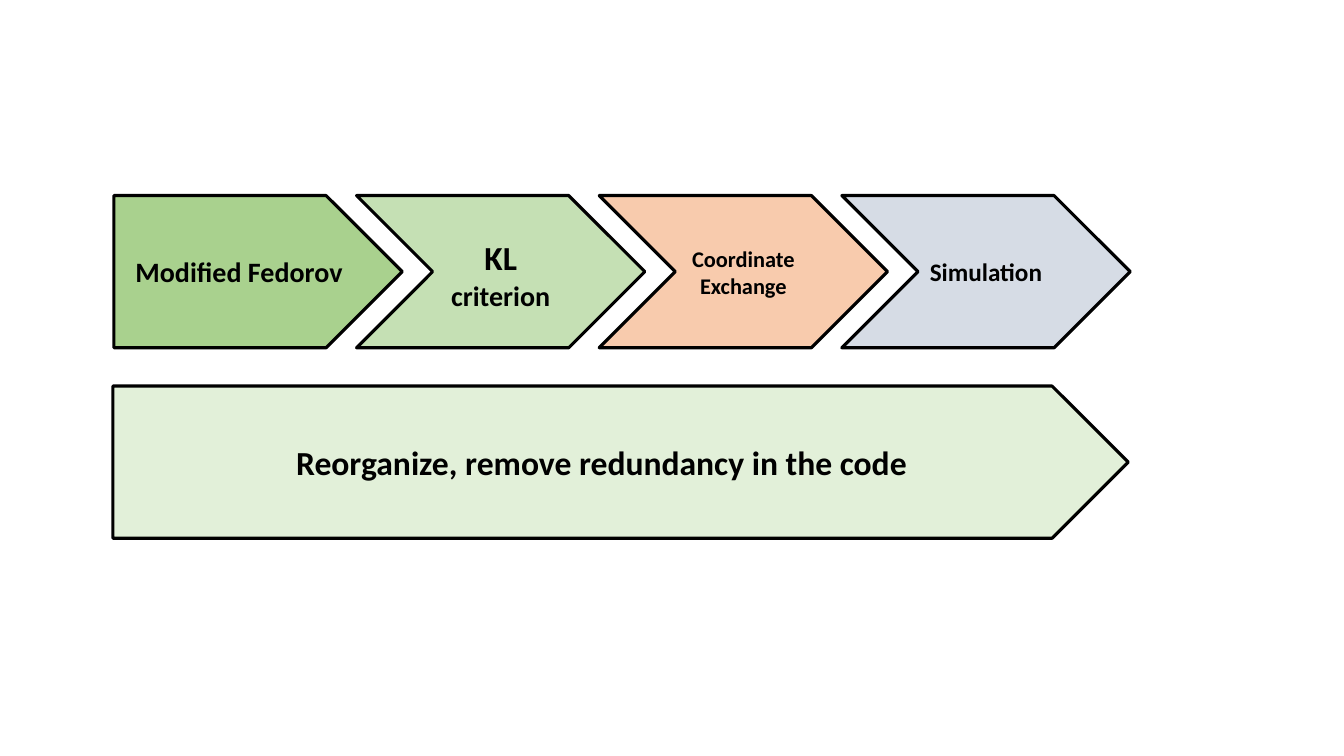
from pptx import Presentation
from pptx.dml.color import RGBColor
from pptx.enum.shapes import MSO_SHAPE as Shape
from pptx.enum.text import MSO_ANCHOR as Anchor, PP_ALIGN as Align
from pptx.util import Inches, Pt

FONT = "Calibri"
BLACK = "000000"
STEP_WIDTH = 2.86
ARROW_HEIGHT = 1.51

# Each step: fill and spans of (text, size)
STEPS = [
    ("A9D18E", [("Modified Fedorov", 20)]),
    ("C5E0B4", [("KL", 24), (" ", 28), ("criterion", 20)]),
    ("F8CBAD", [("Coordinate Exchange", 16)]),
    ("D6DCE5", [("Simulation", 18)]),
]
CLEANUP = ("E2F0D9", [("Reorganize, remove redundancy in the code", 24)])


def color(hex_code):
    return RGBColor.from_string(hex_code)


def add_arrow(page, kind, box, fill, spans):
    """Draw one outlined arrow with centred bold text."""
    arrow = page.shapes.add_shape(kind, *(Inches(length) for length in box))
    arrow.shadow.inherit = False
    arrow.fill.solid()
    arrow.fill.fore_color.rgb = color(fill)
    arrow.line.color.rgb = color(BLACK)
    arrow.line.width = Pt(2.25)

    frame = arrow.text_frame
    frame.word_wrap = True
    frame.vertical_anchor = Anchor.MIDDLE
    para = frame.paragraphs[0]
    para.alignment = Align.CENTER
    for text, size in spans:
        span = para.add_run()
        span.text = text
        span.font.name = FONT
        span.font.size = Pt(size)
        span.font.bold = True
        span.font.color.rgb = color(BLACK)


def add_step_row(page, box):
    """Spread the steps evenly across the box, the first with a flat back."""
    left, top, width, height = box
    pitch = (width - STEP_WIDTH) / (len(STEPS) - 1)
    for index, (fill, spans) in enumerate(STEPS):
        kind = Shape.CHEVRON if index else Shape.PENTAGON
        step_box = (left + index * pitch, top, STEP_WIDTH, height)
        add_arrow(page, kind, step_box, fill, spans)


def add_cleanup_bar(page, box):
    """Draw the long arrow that runs alongside all steps."""
    add_arrow(page, Shape.PENTAGON, box, *CLEANUP)


deck = Presentation()
deck.slide_width = Inches(13.33)
deck.slide_height = Inches(7.5)
page = deck.slides.add_slide(deck.slide_layouts[6])

add_step_row(page, (1.13, 1.94, 10.08, ARROW_HEIGHT))
add_cleanup_bar(page, (1.12, 3.83, 10.07, ARROW_HEIGHT))

deck.save("out.pptx")
